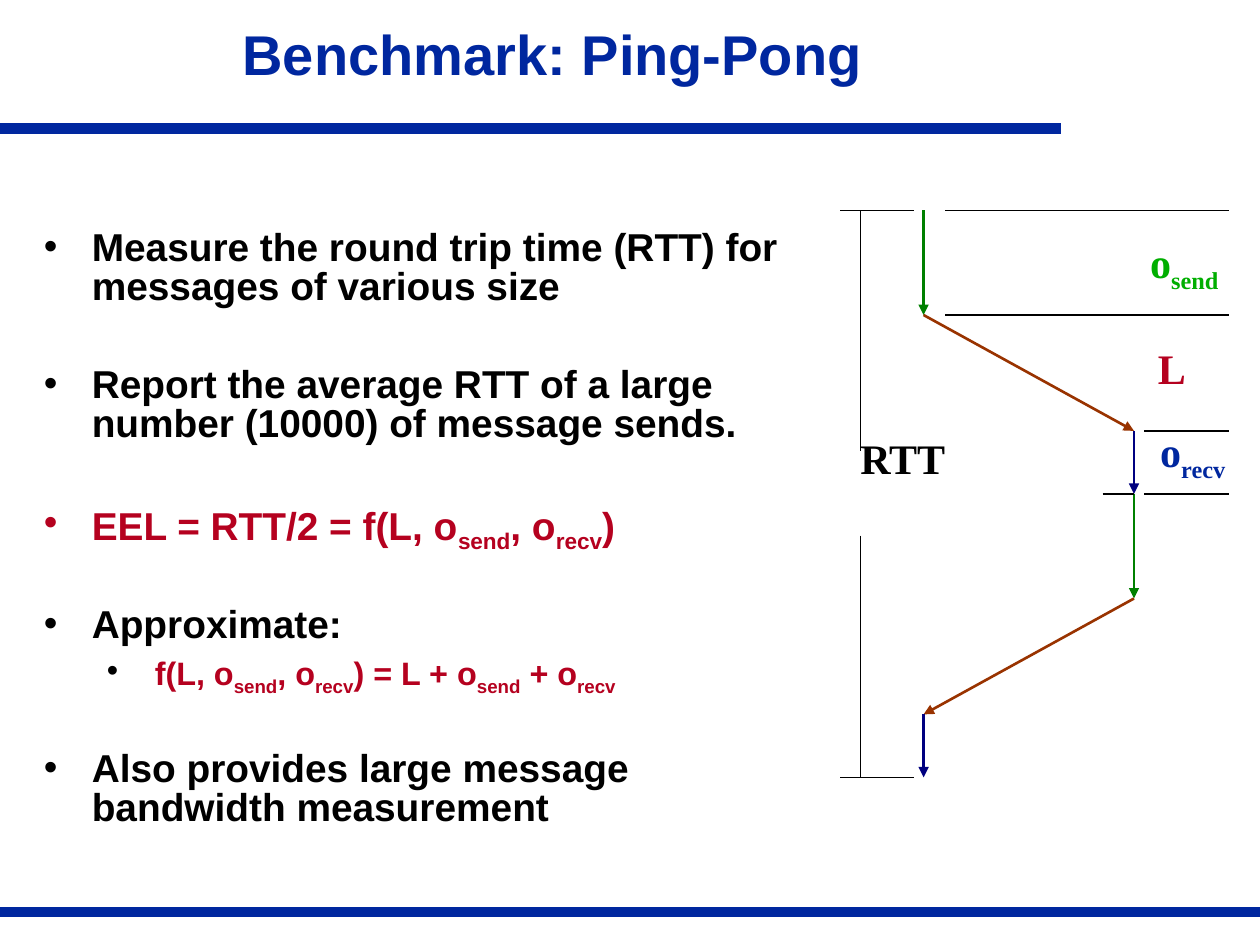
from lxml import etree
from pptx import Presentation
from pptx.dml.color import RGBColor
from pptx.enum import shapes, text
from pptx.oxml.ns import qn
from pptx.util import Inches, Pt

THEME = {
    "blue": "00279F", "red": "B5011F", "black": "000000", "label green": "00AE00",
    "send": "008000", "wire": "993300", "receive": "000080",
    "body font": "Arial", "label font": "Times New Roman",
    "title size": 32, "body size": 22.2, "sub size": 18.5, "label size": 24,
}

TITLE = "Benchmark: Ping-Pong"

# Text between tildes is subscript: (text, level, text colour, bullet colour, space before)
BULLETS = [
    ("Measure the round trip time (RTT) for messages of various size", 0, "black", "black", 0),
    ("Report the average RTT of a large number (10000) of message sends.", 0, "black", "black", 33.5),
    ("EEL = RTT/2 = f(L, o~send~, o~recv~)", 0, "red", "red", 33.5),
    ("Approximate:", 0, "black", "black", 33.5),
    ("f(L, o~send~, o~recv~) = L + o~send~ + o~recv~", 1, "red", "black", 5),
    ("Also provides large message bandwidth measurement", 0, "black", "black", 33.5),
]
# Level: (left margin, hanging indent, size)
LEVELS = [(0.38, 0.38, "body size"), (0.88, 0.38, "sub size")]

# (text, colour, left, top, width, height)
LABELS = [
    ("RTT", "black", 6.73, 3.38, 0.88, 0.5),
    ("o~send~", "label green", 9.03, 1.83, 0.74, 0.56),
    ("o~recv~", "blue", 9.11, 3.33, 0.72, 0.56),
    ("L", "red", 9.09, 2.67, 0.42, 0.5),
]

# Times run down the page; each process is a vertical track
PING, PONG = 7.33, 9
START, SENT, ARRIVED, RECEIVED, REPLIED, RETURNED, END = 1.67, 2.5, 3.42, 3.92, 4.75, 5.67, 6.17
ARROWS = [
    ("send", (PING, START), (PING, SENT)),
    ("wire", (PING, SENT), (PONG, ARRIVED)),
    ("receive", (PONG, ARRIVED), (PONG, RECEIVED)),
    ("send", (PONG, RECEIVED), (PONG, REPLIED)),
    ("wire", (PONG, REPLIED), (PING, RETURNED)),
    ("receive", (PING, RETURNED), (PING, END)),
]
RTT_X = 6.83
RTT_SPANS = [(START, 3.58), (4.25, END)]
# (left, right, time)
GUIDES = [(6.67, 7.25, START), (6.67, 7.25, END), (7.5, 9.75, START),
          (7.5, 9.75, SENT), (9.08, 9.75, ARRIVED), (9.08, 9.75, RECEIVED)]
# (right, height)
RULES = [(8.42, 1.02), (10, 7.24)]


def color(name):
    return RGBColor.from_string(THEME[name])


def add_line(slide, name, start, end, width=1, arrow=False):
    line = slide.shapes.add_connector(
        shapes.MSO_CONNECTOR.STRAIGHT, *map(Inches, (*start, *end)))
    line.line.color.rgb = color(name)
    line.line.width = Pt(width)
    if arrow:
        etree.SubElement(line.line._get_or_add_ln(), qn("a:tailEnd"), type="triangle")
    etree.SubElement(line._element.spPr, qn("a:effectLst"))


def add_text_box(slide, box, wrap):
    frame = slide.shapes.add_textbox(*map(Inches, box)).text_frame
    frame.word_wrap = wrap
    return frame


def write(paragraph, marked_text, font, size, name):
    for index, part in enumerate(marked_text.split("~")):
        if part:
            run = paragraph.add_run()
            run.text = part
            if index % 2:
                run.font._element.set("baseline", "-25000")
    paragraph.font.name = THEME[font]
    paragraph.font.size = Pt(THEME[size])
    paragraph.font.bold = True
    paragraph.font.color.rgb = color(name)


def add_bullet(paragraph, name, left, hanging):
    properties = paragraph._p.get_or_add_pPr()
    properties.set("marL", str(Inches(left)))
    properties.set("indent", str(-Inches(hanging)))
    bullet_color = etree.SubElement(properties, qn("a:buClr"))
    etree.SubElement(bullet_color, qn("a:srgbClr"), val=THEME[name])
    etree.SubElement(properties, qn("a:buFont"), typeface=THEME["body font"])
    etree.SubElement(properties, qn("a:buChar"), char="•")


def add_title(slide):
    title = slide.shapes.title
    title.left, title.top, title.width, title.height = map(Inches, (0.28, 0.06, 8.21, 0.81))
    title.text_frame.vertical_anchor = text.MSO_ANCHOR.MIDDLE
    paragraph = title.text_frame.paragraphs[0]
    paragraph.alignment = text.PP_ALIGN.CENTER
    paragraph.line_spacing = 0.85
    write(paragraph, TITLE, "body font", "title size", "blue")


def add_bullets(slide):
    frame = add_text_box(slide, (0.25, 1.78, 6.25, 5.14), True)
    for index, (content, level, name, bullet, space) in enumerate(BULLETS):
        paragraph = frame.add_paragraph() if index else frame.paragraphs[0]
        left, hanging, size = LEVELS[level]
        paragraph.level = level
        paragraph.line_spacing = 0.84
        paragraph.space_before = Pt(space)
        add_bullet(paragraph, bullet, left, hanging)
        write(paragraph, content, "body font", size, name)


def add_diagram(slide):
    for name, start, end in ARROWS:
        add_line(slide, name, start, end, 1.5, arrow=True)
    add_line(slide, "black", (8.75, RECEIVED), (PONG, RECEIVED), 1.5)
    for top, bottom in RTT_SPANS:
        add_line(slide, "black", (RTT_X, top), (RTT_X, bottom))
    for left, right, time in GUIDES:
        add_line(slide, "black", (left, time), (right, time))
    for content, name, *box in LABELS:
        frame = add_text_box(slide, box, False)
        write(frame.paragraphs[0], content, "label font", "label size", name)


def main():
    presentation = Presentation()
    presentation.slide_width, presentation.slide_height = Inches(10), Inches(7.5)
    slide = presentation.slides.add_slide(presentation.slide_layouts[5])
    for right, height in RULES:
        add_line(slide, "blue", (0, height), (right, height), 6)
    add_title(slide)
    add_bullets(slide)
    add_diagram(slide)
    presentation.save("out.pptx")


if __name__ == "__main__":
    main()
